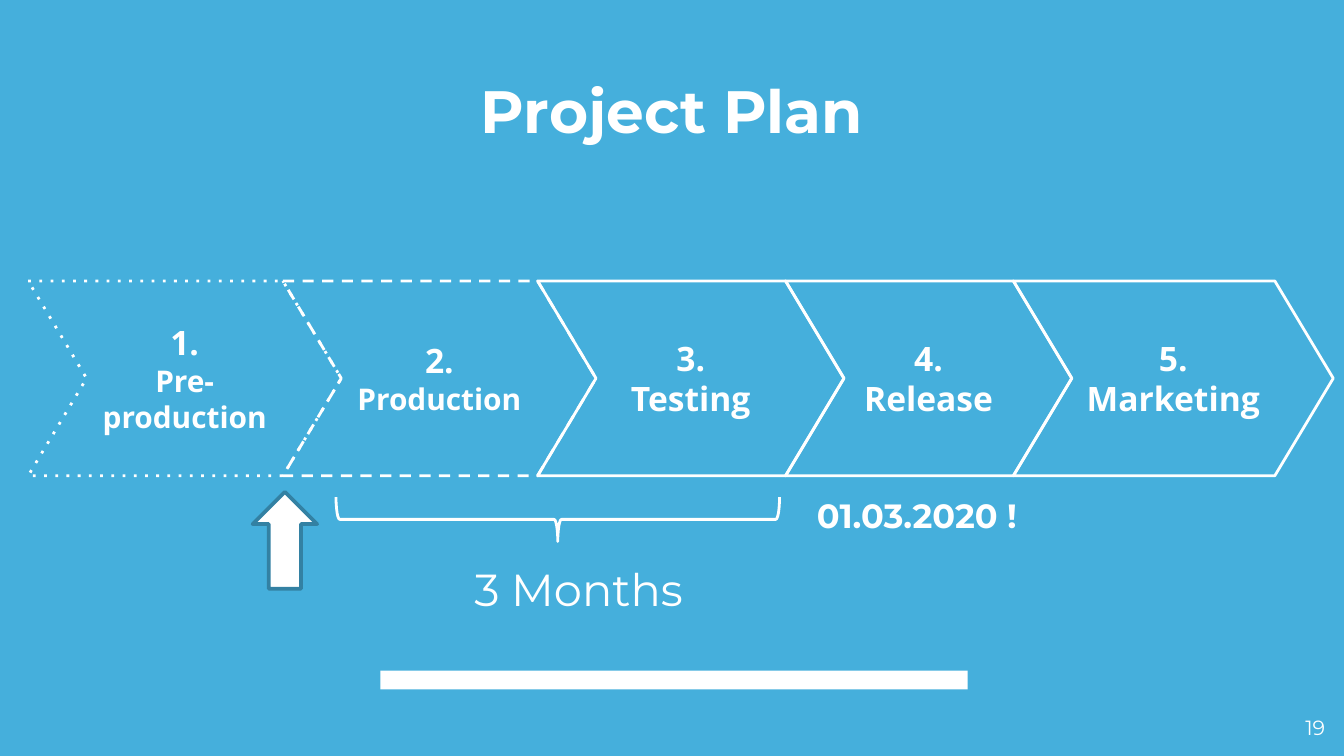
from dataclasses import dataclass

from pptx import Presentation
from pptx.dml.color import RGBColor
from pptx.enum.dml import MSO_LINE
from pptx.enum.shapes import MSO_SHAPE
from pptx.enum.text import MSO_ANCHOR, MSO_AUTO_SIZE, PP_ALIGN
from pptx.oxml.ns import qn
from pptx.util import Inches, Pt

LEFT, CENTER, RIGHT = PP_ALIGN.LEFT, PP_ALIGN.CENTER, PP_ALIGN.RIGHT
TOP, MIDDLE, BOTTOM = MSO_ANCHOR.TOP, MSO_ANCHOR.MIDDLE, MSO_ANCHOR.BOTTOM
DASHED = MSO_LINE.DASH
TITLE_ONLY = 5


@dataclass(frozen=True)
class Theme:
    background: RGBColor = RGBColor(0x45, 0xAF, 0xDC)
    ink: RGBColor = RGBColor(0xFF, 0xFF, 0xFF)
    marker_edge: RGBColor = RGBColor(0x33, 0x81, 0xA3)
    heading_font: str = "Montserrat"
    phase_font: str = "Open Sans"
    title: int = 32
    duration: int = 24
    body: int = 18
    long_name: int = 16
    page: int = 11
    outline: float = 1.5


THEME = Theme()

# Name, width in inches, name size, outline pattern
PHASES = [
    ("Pre-production", 2.33, THEME.long_name, "dot"),
    ("Production", 2.33, THEME.long_name, "dash"),
    ("Testing", 2.28, THEME.body, None),
    ("Release", 2.13, THEME.body, None),
    ("Marketing", 2.38, THEME.body, None),
]


def write(shape, *lines, sizes, font=THEME.heading_font, bold=False,
          align=CENTER, anchor=TOP, inset=0.1, wrap=True, grow=False):
    """Fill a shape with one paragraph per line, each with its own size."""
    frame = shape.text_frame
    frame.word_wrap = wrap
    frame.auto_size = MSO_AUTO_SIZE.SHAPE_TO_FIT_TEXT if grow else MSO_AUTO_SIZE.NONE
    frame.vertical_anchor = anchor
    frame.margin_left = frame.margin_right = Inches(0.1)
    frame.margin_top = frame.margin_bottom = Inches(inset)
    for index, (line, size) in enumerate(zip(lines, sizes)):
        paragraph = frame.add_paragraph() if index else frame.paragraphs[0]
        paragraph.alignment = align
        run = paragraph.add_run()
        run.text = line
        run.font.name = font
        run.font.size = Pt(size)
        run.font.bold = bold
        run.font.color.rgb = THEME.ink


def add_shape(slide, preset, box, fill=None, line=None, weight=THEME.outline, pattern=None):
    shape = slide.shapes.add_shape(preset, *map(Inches, box))
    shape.shadow.inherit = False
    if fill is None:
        shape.fill.background()
    else:
        shape.fill.solid()
        shape.fill.fore_color.rgb = fill
    if line is None:
        shape.line.fill.background()
    else:
        shape.line.color.rgb = line
        shape.line.width = Pt(weight)
    if pattern:
        # MSO_LINE has no member for the plain "dot" pattern
        shape.line.dash_style = DASHED
        next(shape.element.iter(qn("a:prstDash"))).set("val", pattern)
    return shape


def add_label(slide, box, text, size, **text_format):
    label = slide.shapes.add_textbox(*map(Inches, box))
    write(label, text, sizes=[size], **text_format)


def add_title(slide, box, text):
    title = slide.shapes.title
    title.left, title.top, title.width, title.height = map(Inches, box)
    write(title, text, sizes=[THEME.title], bold=True, anchor=BOTTOM)


def add_phases(slide, left, top, height):
    """Chain chevrons so that each tip fits the notch of the next."""
    notch = 0.3 * height
    for number, (name, width, name_size, pattern) in enumerate(PHASES, 1):
        phase = add_shape(slide, MSO_SHAPE.CHEVRON, (left, top, width, height),
                          line=THEME.ink, pattern=pattern)
        phase.adjustments[0] = notch / height
        write(phase, f"{number}.", name, sizes=[THEME.body, name_size],
              font=THEME.phase_font, bold=True, anchor=MIDDLE)
        left += width - notch


def add_duration(slide, left, top, width, depth, text):
    """Draw a brace opening upward over the given span, with its label below."""
    centre_x, centre_y = left + width / 2, top + depth / 2
    brace = add_shape(slide, MSO_SHAPE.RIGHT_BRACE,
                      (centre_x - depth / 2, centre_y - width / 2, depth, width),
                      line=THEME.ink)
    brace.rotation = 90
    add_label(slide, (left + 0.78, top + 0.43, 2.05, 0.5), text, THEME.duration,
              inset=0.05, grow=True)


def add_timeline(slide, left, top):
    chevron_height = 1.45
    below = top + chevron_height
    add_phases(slide, left, top, chevron_height)
    add_shape(slide, MSO_SHAPE.UP_ARROW, (left + 1.67, below + 0.12, 0.48, 0.72),
              fill=THEME.ink, line=THEME.marker_edge, weight=2)
    add_duration(slide, left + 2.29, below + 0.16, 3.3, 0.33, "3 Months")
    add_label(slide, (left + 5.77, below + 0.09, 1.76, 0.4), "01.03.2020 !",
              THEME.body, bold=True, align=LEFT, inset=0.05, wrap=False, grow=True)


def main():
    deck = Presentation()
    deck.slide_width = Inches(10)
    deck.slide_height = deck.slide_width * 9 // 16
    slide = deck.slides.add_slide(deck.slide_layouts[TITLE_ONLY])
    slide.background.fill.solid()
    slide.background.fill.fore_color.rgb = THEME.background

    add_shape(slide, MSO_SHAPE.RECTANGLE, (2.83, 4.99, 4.37, 0.14), fill=THEME.ink)
    add_title(slide, (0.5, 0.55, 9, 0.63), "Project Plan")
    add_timeline(slide, 0.21, 2.09)
    add_label(slide, (9.36, 5.22, 0.6, 0.32), "19", THEME.page, align=RIGHT)
    deck.save("out.pptx")


if __name__ == "__main__":
    main()
